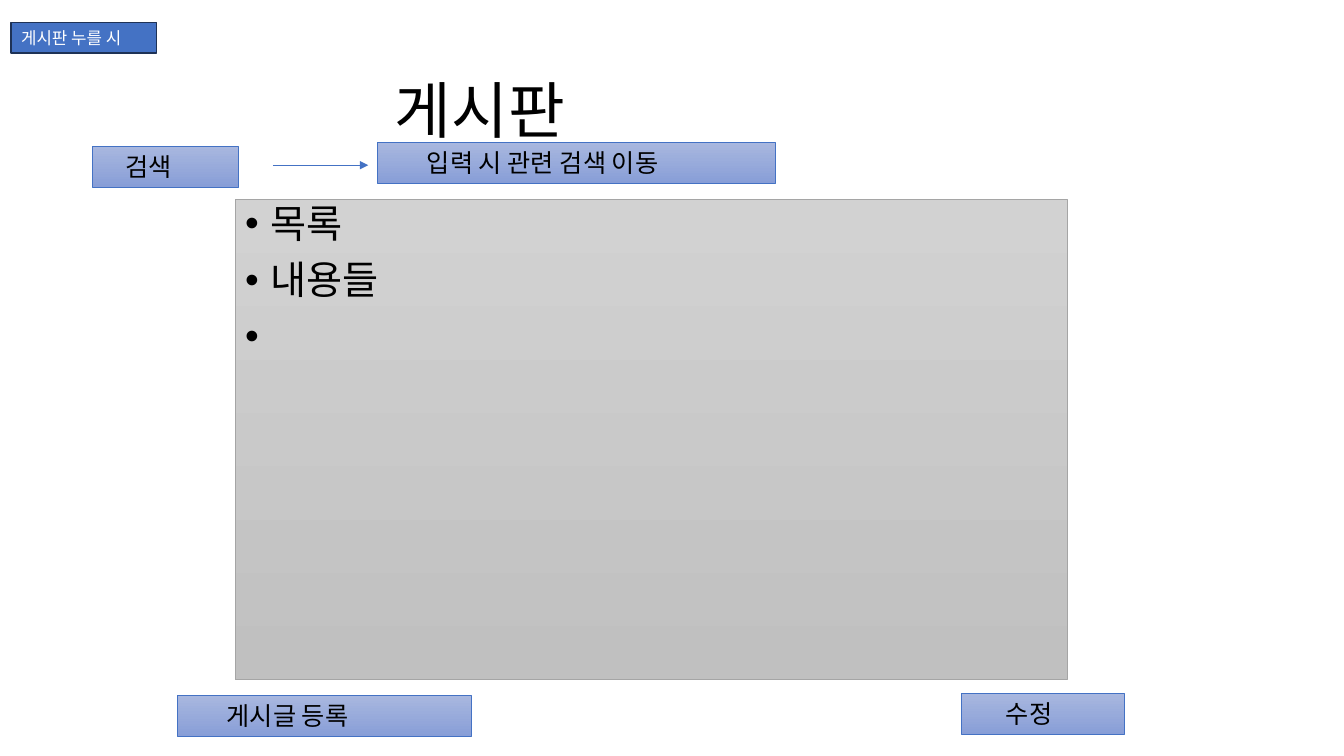
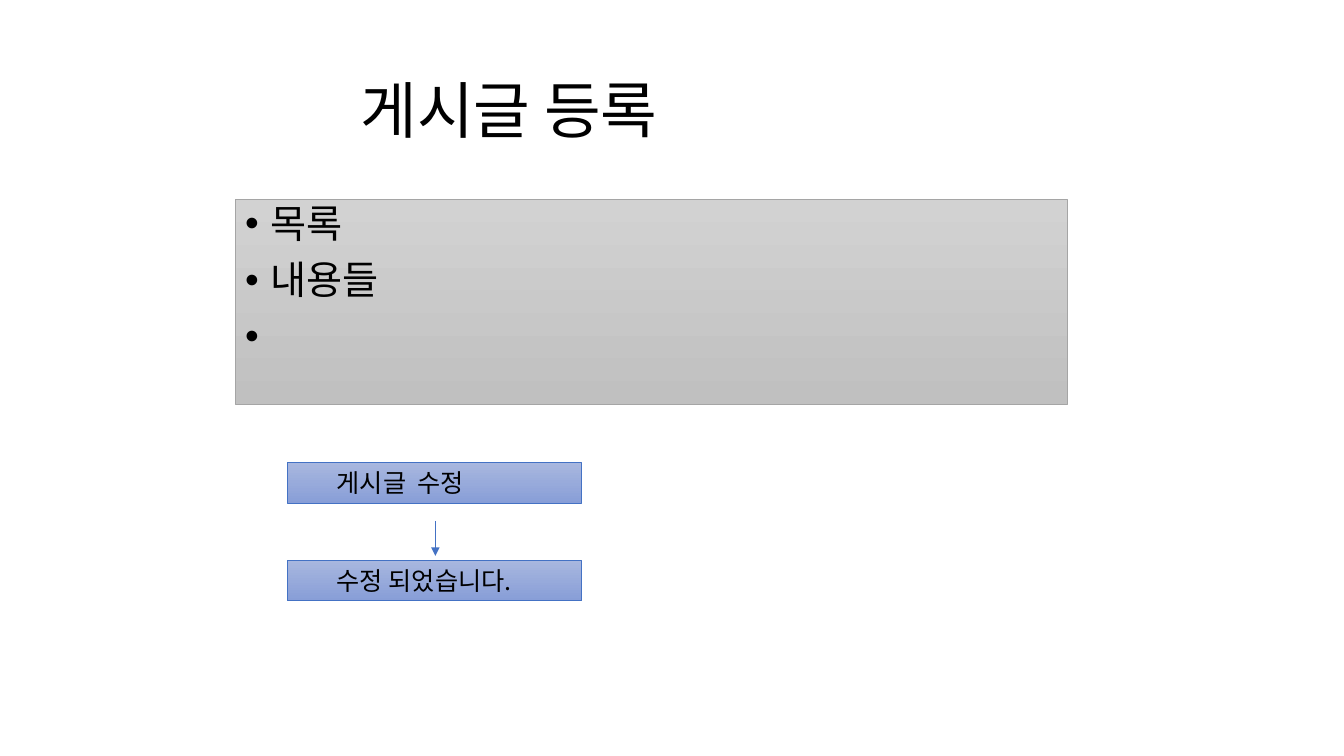
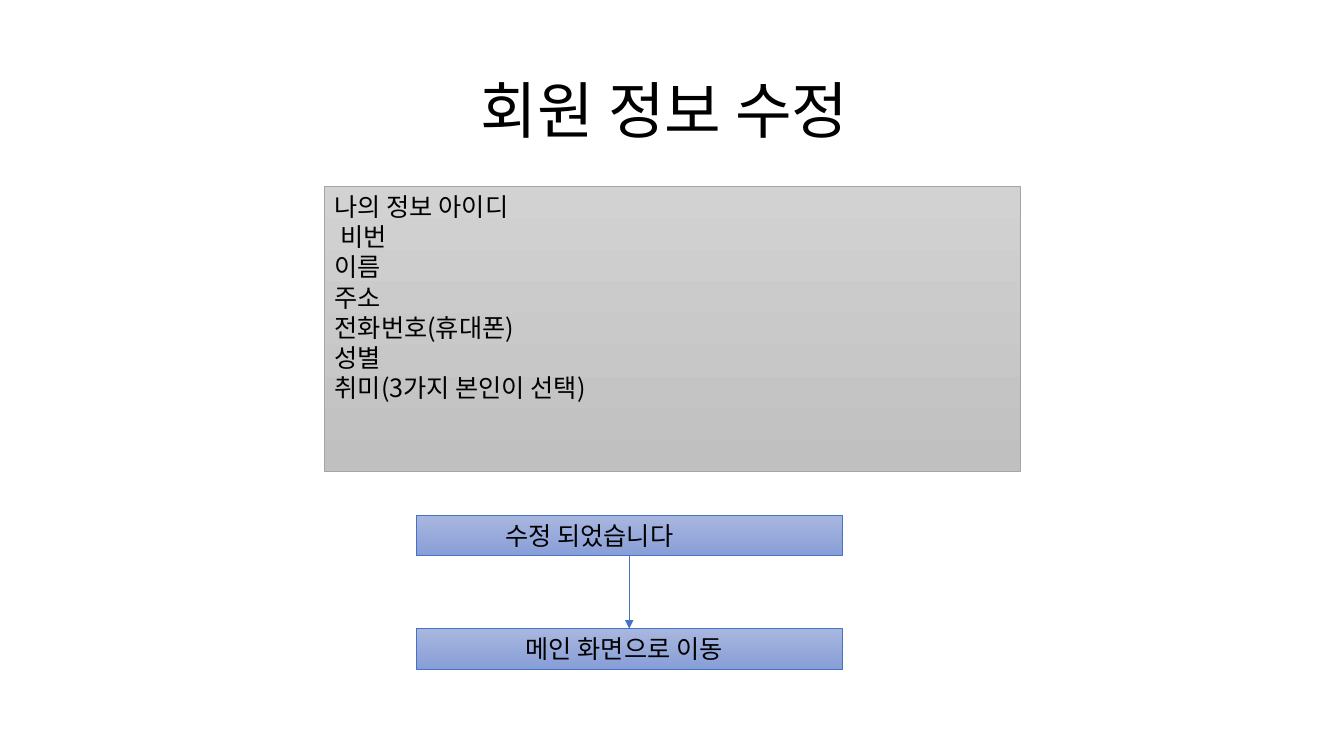
"""Build three wireframe slides for a bulletin board and member profile."""
from dataclasses import dataclass

from lxml.etree import SubElement
from pptx import Presentation
from pptx.dml.color import RGBColor
from pptx.enum.shapes import MSO_CONNECTOR, MSO_SHAPE
from pptx.enum.text import MSO_ANCHOR, MSO_AUTO_SIZE, PP_ALIGN
from pptx.oxml.ns import qn
from pptx.util import Pt


@dataclass(frozen=True)
class Theme:
    font: str = "Noto Sans CJK KR"
    ink: str = "000000"
    accent: str = "4472C4"
    button: tuple = (("A8B7DF", "889ED7"), "4472C4", 0.5, "000000")
    panel: tuple = (("D2D2D2", "C0C0C0"), "A5A5A5", 0.5, "000000")
    tag: tuple = (("4472C4",), "1E3256", 1, "FFFFFF")
    title_size: int = 44
    list_size: int = 28
    body_size: int = 18
    tag_size: int = 12
    inset: float = 7.2
    button_height: float = 29


theme = Theme()


def write(frame, lines, size, color, inset=theme.inset):
    frame.word_wrap = True
    frame.auto_size = MSO_AUTO_SIZE.NONE
    frame.margin_left = Pt(inset)
    frame.text = "\n".join(lines)
    for paragraph in frame.paragraphs:
        paragraph.alignment = PP_ALIGN.LEFT
        paragraph.font.size = Pt(size)
        paragraph.font.color.rgb = RGBColor.from_string(color)
        paragraph.font.name = theme.font
        defaults = paragraph._p.pPr.find(qn("a:defRPr"))
        SubElement(defaults, qn("a:ea"), typeface=theme.font)


def add_box(slide, style, lines, place, size=theme.body_size, inset=theme.inset):
    fills, outline, weight, ink = style
    box = slide.shapes.add_shape(MSO_SHAPE.RECTANGLE, *map(Pt, place))
    box.shadow.inherit = False
    if len(fills) == 1:
        box.fill.solid()
        box.fill.fore_color.rgb = RGBColor.from_string(fills[0])
    else:
        box.fill.gradient()
        box.fill.gradient_angle = 270
        for stop, shade in zip(box.fill.gradient_stops, fills):
            stop.color.rgb = RGBColor.from_string(shade)
    box.line.color.rgb = RGBColor.from_string(outline)
    box.line.width = Pt(weight)
    box.text_frame.vertical_anchor = MSO_ANCHOR.TOP
    write(box.text_frame, lines, size, ink, inset)
    return box


deck = Presentation()
deck.slide_width, deck.slide_height = Pt(960), Pt(540)

slides = []
for heading, indent in (("게시판", 216), ("게시글 등록", 191.5), ("회원 정보 수정", 277.5)):
    slide = deck.slides.add_slide(deck.slide_layouts[5])
    title = slide.shapes.title
    title.left, title.top, title.width, title.height = map(Pt, (66, 29, 828, 104))
    title.text_frame.vertical_anchor = MSO_ANCHOR.MIDDLE
    write(title.text_frame, [heading], theme.title_size, theme.ink, indent)
    title.text_frame.paragraphs[0].line_spacing = 0.9
    slides.append(slide)
board, post, member = slides

add_box(board, theme.tag, ["게시판 누를 시"], (8, 16, 104, 22), theme.tag_size)

for slide, height in ((board, 343), (post, 146)):
    listing = add_box(slide, theme.panel, ["목록", "내용들", " "],
                      (168, 142.5, 594.5, height), theme.list_size)
    for entry in listing.text_frame.paragraphs:
        entry.line_spacing = 0.9
        entry.space_before = Pt(10)
        properties = entry._p.pPr
        properties.set("marL", str(Pt(18)))
        properties.set("indent", str(Pt(-18)))
        defaults = properties.find(qn("a:defRPr"))
        defaults.addprevious(SubElement(properties, qn("a:buFont"), typeface="Arial"))
        defaults.addprevious(SubElement(properties, qn("a:buChar"), char="•"))

profile = add_box(member, theme.panel,
                  ["나의 정보 아이디", "비번", "이름", "주소", "전화번호(휴대폰)",
                   "성별", "취미(3가지 본인이 선택)"], (232, 133, 497, 204))
profile.text_frame.paragraphs[1]._p.pPr.set("marL", str(Pt(4)))

for slide, label, left, top, width, indent in (
    (board, "수정", 687, 495.5, 116.5, 31.5),
    (board, "게시글 등록", 126.5, 497, 210.5, 35.5),
    (board, "검색", 66, 104.5, 104, 23.5),
    (board, "입력 시 관련 검색 이동", 269.5, 102, 284.5, 35.5),
    (post, "게시글  수정", 205, 330.5, 210.5, 35.5),
    (post, "수정 되었습니다.", 205, 400, 210.5, 35.5),
    (member, "수정 되었습니다", 297.5, 368, 304, 63.5),
    (member, "메인 화면으로 이동", 297.5, 449, 304, 78),
):
    add_box(slide, theme.button, [label], (left, top, width, theme.button_height), inset=indent)

for slide, *ends in (
    (board, 195, 118, 263, 118),
    (post, 311, 372, 311, 397),
    (member, 449.5, 397, 449.5, 449),
):
    arrow = slide.shapes.add_connector(MSO_CONNECTOR.STRAIGHT, *map(Pt, ends))
    arrow.line.color.rgb = RGBColor.from_string(theme.accent)
    arrow.line.width = Pt(0.5)
    SubElement(arrow.line._get_or_add_ln(), qn("a:tailEnd"), type="triangle")
    SubElement(arrow._element.spPr, qn("a:effectLst"))

deck.save("out.pptx")
